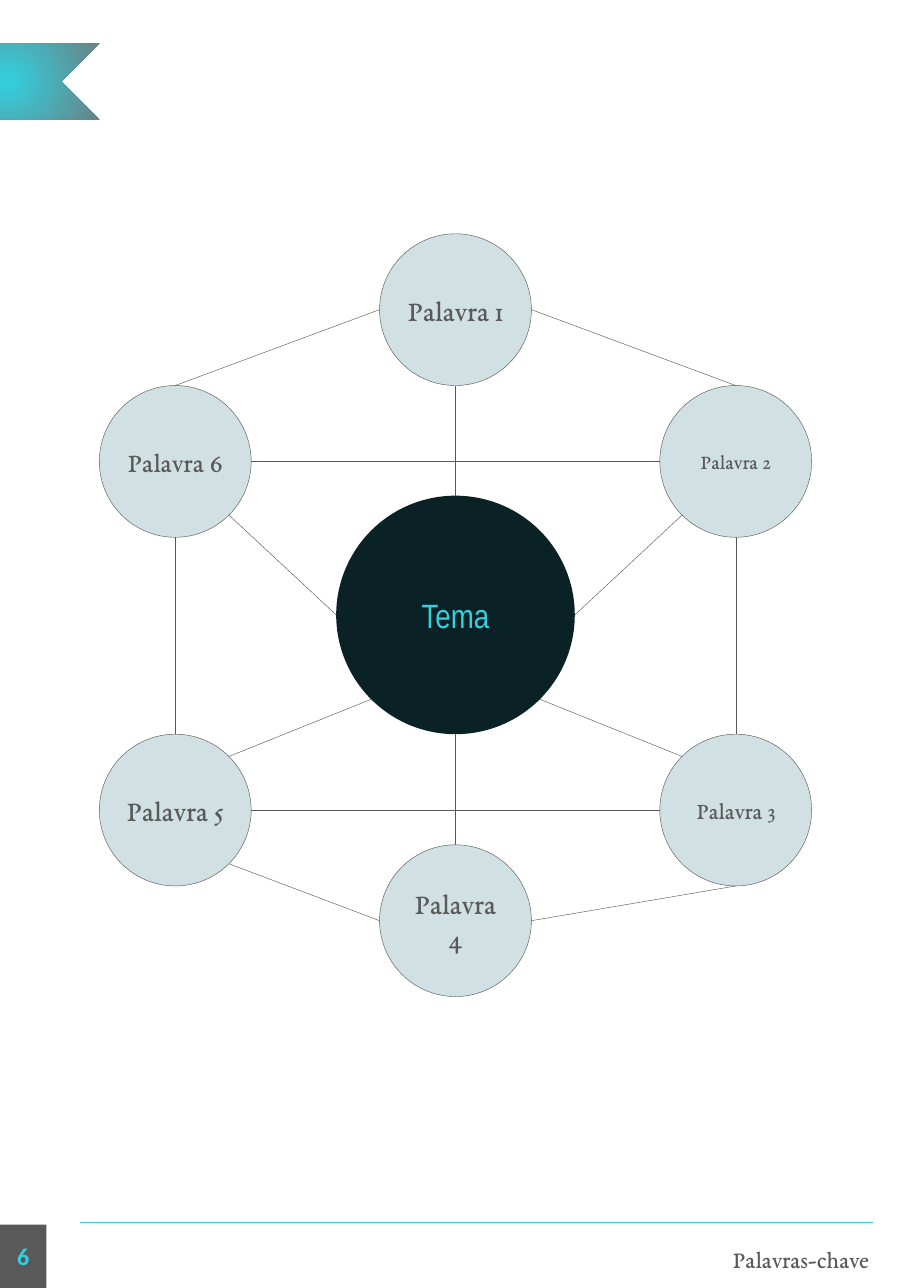
from math import cos, radians, sin

from lxml import etree
from pptx import Presentation
from pptx.dml.color import RGBColor
from pptx.enum.shapes import MSO_CONNECTOR, MSO_SHAPE
from pptx.enum.text import MSO_ANCHOR, MSO_AUTO_SIZE, PP_ALIGN
from pptx.oxml.ns import qn
from pptx.util import Inches, Pt

STRAIGHT = MSO_CONNECTOR.STRAIGHT
RECTANGLE = MSO_SHAPE.RECTANGLE
OVAL = MSO_SHAPE.OVAL
RIBBON = MSO_SHAPE.NOTCHED_RIGHT_ARROW
MIDDLE = MSO_ANCHOR.MIDDLE
NO_AUTOFIT = MSO_AUTO_SIZE.NONE
CENTER, RIGHT = PP_ALIGN.CENTER, PP_ALIGN.RIGHT

CYAN = RGBColor(0x33, 0xD0, 0xDF)
GRAY = RGBColor(0x59, 0x59, 0x59)
RIBBON_EDGE = RGBColor(0x73, 0x73, 0x73)
DARK = RGBColor(0x0A, 0x21, 0x26)
PALE = RGBColor(0xD0, 0xE0, 0xE3)

SERIF, SANS, NARROW = "EB Garamond", "Calibri", "Arial Narrow"

WIDTH, HEIGHT = 21, 29.7
MIDDLE_X = WIDTH / 2
COLUMN_GAP = 6.46
COLUMNS = [MIDDLE_X + step * COLUMN_GAP for step in (-1, 0, 1)]
ROWS = [7.14, 10.64, 14.18, 18.68, 21.23]
FOOTER_HEIGHT = 1.46
FOOTER_TOP = HEIGHT - FOOTER_HEIGHT
FOOTER_RIGHT = 20.13

WORD_RADIUS, THEME_RADIUS = 1.75, 2.75
THEME = "Tema"
WORDS = {
    "Palavra 1": (1, 0, 48),
    "Palavra 2": (2, 1, 34),
    "Palavra 3": (2, 3, 39),
    "Palavra 4": (1, 4, 48),
    "Palavra 5": (0, 3, 48),
    "Palavra 6": (0, 1, 45),
}

COMPASS = {"E": 0, "SE": 45, "S": 90, "SW": 135,
           "W": 180, "NW": 225, "N": 270, "NE": 315}
LINKS = [
    ("Palavra 1", "S", THEME, "N"),
    ("Palavra 1", "E", "Palavra 2", "N"),
    (THEME, "E", "Palavra 2", "SW"),
    (THEME, "SE", "Palavra 3", "NW"),
    ("Palavra 2", "S", "Palavra 3", "N"),
    (THEME, "S", "Palavra 4", "N"),
    ("Palavra 5", "SE", "Palavra 4", "W"),
    (THEME, "SW", "Palavra 5", "NE"),
    ("Palavra 5", "N", "Palavra 6", "S"),
    ("Palavra 6", "SE", THEME, "W"),
    ("Palavra 6", "N", "Palavra 1", "W"),
    ("Palavra 3", "S", "Palavra 4", "E"),
    ("Palavra 6", "E", "Palavra 2", "W"),
    ("Palavra 5", "E", "Palavra 3", "W"),
]


def write(shape, text, *, size, font, color, bold=False, align=CENTER,
          inset=0.1, spacing=None):
    frame = shape.text_frame
    frame.word_wrap = True
    frame.auto_size = NO_AUTOFIT
    frame.vertical_anchor = MIDDLE
    frame.margin_left = frame.margin_right = Inches(inset)
    frame.margin_top = frame.margin_bottom = Inches(inset)
    paragraph = frame.paragraphs[0]
    paragraph.alignment = align
    if spacing:
        paragraph.line_spacing = spacing
    run = paragraph.add_run()
    run.text = text
    run.font.size = Pt(size)
    run.font.name = font
    run.font.bold = bold
    run.font.color.rgb = color


def add_block(slide, kind, left, top, width, height, fill=None, outline=None):
    block = slide.shapes.add_shape(
        kind, Inches(left), Inches(top), Inches(width), Inches(height))
    block.shadow.inherit = False
    if fill:
        block.fill.solid()
        block.fill.fore_color.rgb = fill
    if outline:
        block.line.color.rgb = outline
        block.line.width = Pt(0.75)
    else:
        block.line.fill.background()
    return block


def add_circle(slide, center, radius, fill, outline=None):
    x, y = center
    return add_block(slide, OVAL, x - radius, y - radius,
                     2 * radius, 2 * radius, fill, outline)


def add_line(slide, start, end, color, weight):
    line = slide.shapes.add_connector(
        STRAIGHT, *(Inches(value) for value in (*start, *end)))
    line.line.color.rgb = color
    line.line.width = Pt(weight)
    etree.SubElement(line._element.spPr, qn("a:effectLst"))


def add_ribbon(slide):
    ribbon = add_block(slide, RIBBON, -1.9, 0.12, 4.19, 3.51)
    ribbon.rotation = 180
    ribbon.fill.gradient()
    for stop, color in zip(ribbon.fill.gradient_stops, (CYAN, RIBBON_EDGE)):
        stop.color.rgb = color
    gradient = ribbon._element.spPr.find(qn("a:gradFill"))
    gradient.remove(gradient.find(qn("a:lin")))
    radial = etree.SubElement(gradient, qn("a:path"), path="circle")
    etree.SubElement(radial, qn("a:fillToRect"),
                     l="50000", t="50000", r="50000", b="50000")


def add_footer(slide):
    title = slide.shapes.title
    title.left, title.top = Inches(0.88), Inches(FOOTER_TOP)
    title.width = Inches(FOOTER_RIGHT - 0.88)
    title.height = Inches(FOOTER_HEIGHT)
    write(title, "Palavras-chave", size=40, font=SERIF, color=GRAY,
          align=RIGHT, spacing=1.15)
    page = add_block(slide, RECTANGLE, 0, FOOTER_TOP, 1.07, FOOTER_HEIGHT, GRAY)
    write(page, "6", size=40, font=SANS, color=CYAN, bold=True, inset=0.32)
    add_line(slide, (1.85, 28.19), (FOOTER_RIGHT, 28.19), CYAN, 3)


def rim_point(circle, direction):
    x, y, radius = circle
    angle = radians(COMPASS[direction])
    return x + radius * cos(angle), y + radius * sin(angle)


def add_word_map(slide):
    circles = {THEME: (MIDDLE_X, ROWS[2], THEME_RADIUS)}
    theme = add_circle(slide, (MIDDLE_X, ROWS[2]), THEME_RADIUS, DARK)
    write(theme, THEME, size=56, font=NARROW, color=CYAN)
    for word, (column, row, size) in WORDS.items():
        center = COLUMNS[column], ROWS[row]
        circles[word] = (*center, WORD_RADIUS)
        bubble = add_circle(slide, center, WORD_RADIUS, PALE, GRAY)
        write(bubble, word, size=size, font=SERIF, color=GRAY)
    for source, leaving, target, arriving in LINKS:
        add_line(slide, rim_point(circles[source], leaving),
                 rim_point(circles[target], arriving), GRAY, 0.75)


def main():
    deck = Presentation()
    deck.slide_width, deck.slide_height = Inches(WIDTH), Inches(HEIGHT)
    slide = deck.slides.add_slide(deck.slide_layouts[5])
    add_footer(slide)
    add_ribbon(slide)
    add_word_map(slide)
    deck.save("out.pptx")


if __name__ == "__main__":
    main()
